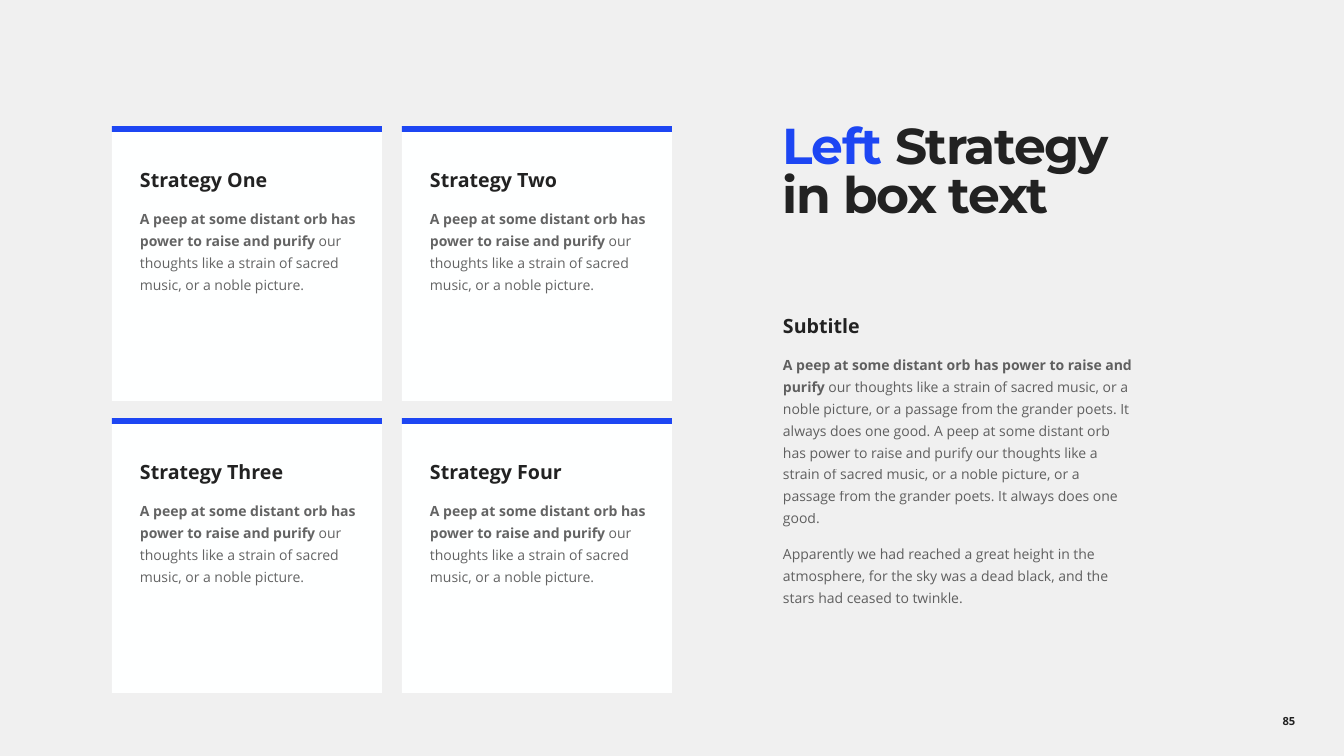
"""Build a slide with four strategy cards beside a title and body text."""
from lxml import etree
from pptx import Presentation
from pptx.dml.color import RGBColor
from pptx.enum.shapes import MSO_SHAPE
from pptx.enum.text import MSO_ANCHOR, MSO_AUTO_SIZE, PP_ALIGN
from pptx.oxml.ns import qn
from pptx.util import Pt

RECT = MSO_SHAPE.RECTANGLE
TOP, MIDDLE = MSO_ANCHOR.TOP, MSO_ANCHOR.MIDDLE
LEFT, CENTER = PP_ALIGN.LEFT, PP_ALIGN.CENTER
NO_FIT = MSO_AUTO_SIZE.NONE

PX = 914400 / 100.8
COLORS = {"back": "F0F0F0", "card": "FEFFFF", "accent": "1D46F3", "ink": "222222"}

LEAD = "A peep at some distant orb has power to raise and purify "
CARD_REST = "our thoughts like a strain of sacred music, or a noble picture."
BODY_REST = (
    "our thoughts like a strain of sacred music, or a noble picture, or a passage "
    "from the grander poets. It always does one good. A peep at some distant orb has "
    "power to raise and purify our thoughts like a strain of sacred music, or a noble "
    "picture, or a passage from the grander poets. It always does one good."
)
CLOSING = (
    "Apparently we had reached a great height in the atmosphere, for the sky was "
    "a dead black, and the stars had ceased to twinkle."
)


def px(*values):
    return [round(v * PX) for v in values]


def add_text(tf, text, size=10, bold=False, color="ink", font="Open Sans", new=True,
             line=1.3, before=10, align=LEFT, alpha=None, tracking=None):
    """Add a formatted run, in a new paragraph unless new is False."""
    p = tf.paragraphs[-1]
    if new:
        first = not p.runs
        p = p if first else tf.add_paragraph()
        p.alignment = align
        p.line_spacing = line
        p.space_before = Pt(0 if first else before)
    r = p.add_run()
    r.text = text
    r.font.size = Pt(size)
    r.font.bold = bold
    r.font.name = font
    r.font.color.rgb = RGBColor.from_string(COLORS[color])
    if alpha:
        clr = r._r.find(".//" + qn("a:srgbClr"))
        etree.SubElement(clr, qn("a:alpha")).set("val", str(alpha * 1000))
    if tracking:
        r._r.get_or_add_rPr().set("spc", str(tracking * 100))
    return p


def set_frame(sp, insets, anchor=TOP):
    tf = sp.text_frame
    tf.word_wrap = True
    tf.auto_size = NO_FIT
    tf.vertical_anchor = anchor
    tf.margin_left, tf.margin_top, tf.margin_right, tf.margin_bottom = px(*insets)
    return tf


prs = Presentation()
prs.slide_width, prs.slide_height = px(1344, 756)
s = prs.slides.add_slide(prs.slide_layouts[5])
s.background.fill.solid()
s.background.fill.fore_color.rgb = RGBColor.from_string(COLORS["back"])

title = s.shapes.title
title.left, title.top, title.width, title.height = px(783, 105, 450, 138)
tf = set_frame(title, (0, 21, 0, 0))
heading = dict(size=36, bold=True, font="Montserrat", line=0.8, tracking=-1)
add_text(tf, "Left ", color="accent", **heading)
p = add_text(tf, "Strategy", new=False, **heading)
p.add_line_break()
add_text(tf, "in box text", new=False, **heading)

for i, name in enumerate(["One", "Two", "Three", "Four"]):
    row, col = divmod(i, 2)
    x, y = 112 + col * 290, 126 + row * 292
    group = s.shapes.add_group_shape()
    for height, color in [(275, "card"), (6, "accent")]:
        sp = group.shapes.add_shape(RECT, *px(x, y, 270, height))
        sp.shadow.inherit = False
        sp.fill.solid()
        sp.fill.fore_color.rgb = RGBColor.from_string(COLORS[color])
        sp.line.fill.background()
        if color == "card":
            tf = set_frame(sp, (28, 35, 20, 5))
            add_text(tf, f"Strategy {name}", size=14, bold=True)
            add_text(tf, LEAD, bold=True, alpha=70)
            add_text(tf, CARD_REST, new=False, alpha=70)

body = s.shapes.add_textbox(*px(783, 303, 376, 309))
tf = set_frame(body, (0, 4, 24, 4))
add_text(tf, "Subtitle", size=14, bold=True)
add_text(tf, LEAD, bold=True, alpha=70)
add_text(tf, BODY_REST, new=False, alpha=70)
add_text(tf, CLOSING, alpha=70)

number = s.shapes.add_textbox(*px(1234, 701, 110, 40))
tf = set_frame(number, (10, 5, 10, 5), MIDDLE)
add_text(tf, "85", size=8, bold=True, line=1, align=CENTER)

prs.save("out.pptx")
